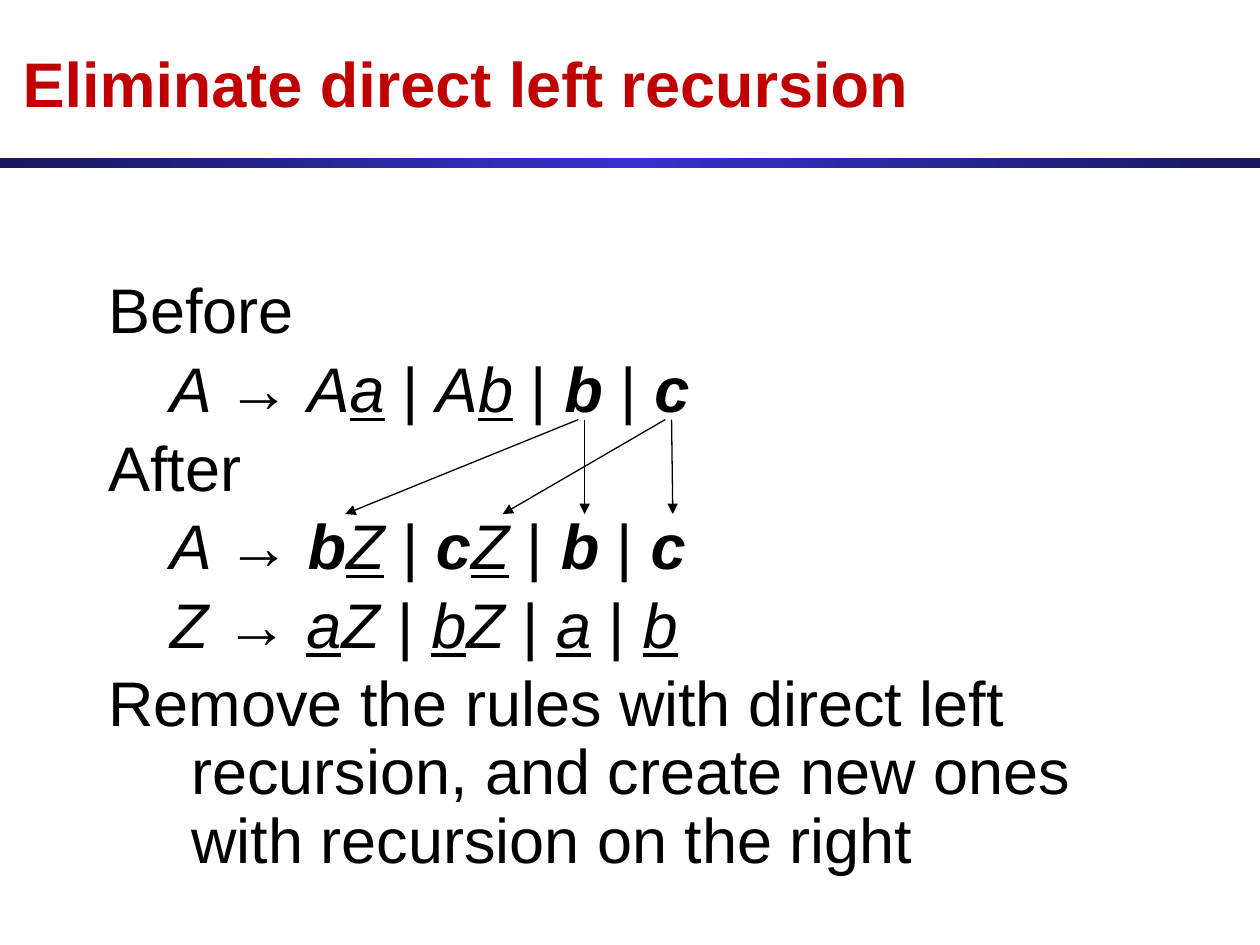
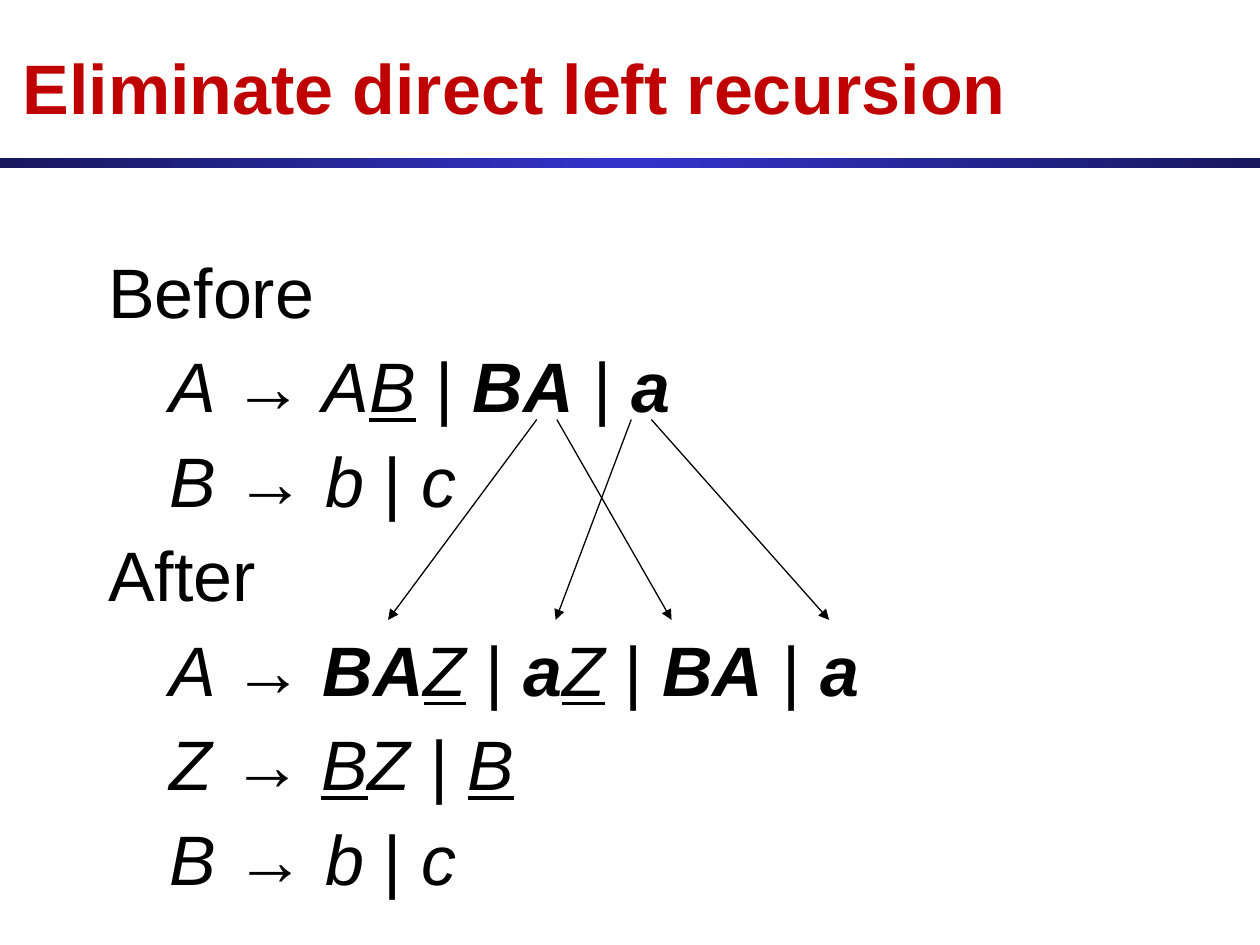
from dataclasses import dataclass

from lxml import etree
from pptx import Presentation
from pptx.dml.color import RGBColor
from pptx.enum.dml import MSO_LINE
from pptx.enum.shapes import MSO_CONNECTOR, MSO_SHAPE
from pptx.enum.text import MSO_ANCHOR, PP_ALIGN
from pptx.oxml.ns import qn
from pptx.util import Emu, Pt

RECT = MSO_SHAPE.RECTANGLE
STRAIGHT = MSO_CONNECTOR.STRAIGHT
SOLID = MSO_LINE.SOLID
TOP, LEFT = MSO_ANCHOR.TOP, PP_ALIGN.LEFT
TITLE_ONLY = 5
SCALE = 9144  # EMU per px: 100 px to the inch


def px(n):
    return Emu(n * SCALE)


@dataclass(frozen=True)
class Theme:
    font: str = "Arial"
    title: str = "C00000"
    ink: str = "000000"
    band_edge: str = "18185E"
    band_middle: str = "3333CC"
    space_before: int = 6
    arrow_width: float = 0.75
    indents: tuple = ((67, -66), (108, -58))  # px: margin, first line


class Deck:
    """Holds the theme and the slide being built."""

    def __init__(self, theme):
        self.theme = theme
        self.prs = Presentation()
        self.prs.slide_width, self.prs.slide_height = px(1000), px(750)
        self.s = None

    def slide(self, title, width, size):
        self.s = self.prs.slides.add_slide(self.prs.slide_layouts[TITLE_ONLY])
        self.band()
        sp = self.s.shapes.title
        self.place(sp, 8, 30, width, 57)
        tf = self.frame(sp)
        tf.word_wrap = False
        p = tf.paragraphs[0]
        p.alignment = LEFT
        self.run(p, title, size, self.theme.title, bold=True)

    def place(self, sp, x, y, w, h):
        sp.left, sp.top, sp.width, sp.height = map(px, (x, y, w, h))

    def frame(self, sp):
        tf = sp.text_frame
        tf.word_wrap = True
        tf.vertical_anchor = TOP
        return tf

    def band(self):
        sp = self.s.shapes.add_shape(RECT, *map(px, (0, 125, 1000, 8)))
        sp.shadow.inherit = False
        sp.line.fill.background()
        sp.fill.gradient()
        sp.fill.gradient_angle = 0
        stops = sp.fill._fill._gradFill.find(qn("a:gsLst"))
        for stop in list(stops):
            stops.remove(stop)
        edge, middle = self.theme.band_edge, self.theme.band_middle
        for pos, color in ((0, edge), (50, middle), (100, edge)):
            stop = etree.SubElement(stops, qn("a:gs"), pos=str(pos * 1000))
            etree.SubElement(stop, qn("a:srgbClr"), val=color)

    def run(self, p, text, size, color, bold=False, italic=False, underline=False):
        r = p.add_run()
        r.text = text
        f = r.font
        f.name, f.size = self.theme.font, Pt(size)
        f.bold, f.italic, f.underline = bold, italic, underline
        f.color.rgb = RGBColor.from_string(color)

    def body(self, y, size, lines, spacing=1.0):
        """Each line is (level, runs); each run is (text, style letters)."""
        sp = self.s.shapes.add_textbox(*map(px, (75, y, 850, 450)))
        tf = self.frame(sp)
        for i, (level, runs) in enumerate(lines):
            p = tf.paragraphs[0] if i == 0 else tf.add_paragraph()
            p.level, p.line_spacing = level, spacing
            p.space_before = Pt(self.theme.space_before)
            margin, first = self.theme.indents[level]
            pPr = p._p.get_or_add_pPr()
            pPr.set("marL", str(px(margin)))
            pPr.set("indent", str(px(first)))
            for text, style in runs:
                self.run(p, text, size, self.theme.ink,
                         "b" in style, "i" in style, "u" in style)

    def arrow(self, x1, y1, x2, y2):
        c = self.s.shapes.add_connector(STRAIGHT, *map(px, (x1, y1, x2, y2)))
        c.line.color.rgb = RGBColor.from_string(self.theme.ink)
        c.line.width = Pt(self.theme.arrow_width)
        c.line.dash_style = SOLID
        etree.SubElement(c.line._get_or_add_ln(), qn("a:tailEnd"), type="triangle")
        etree.SubElement(c._element.spPr, qn("a:effectLst"))


def heading(text):
    return 0, [(text, "")]


def rule(left, *choices):
    """A grammar rule: choices are lists of (symbols, style), joined by bars."""
    runs = [(left + " ", "i"), ("→ ", "")]
    for i, choice in enumerate(choices):
        if i:
            runs += [(" ", "i"), ("| ", "")]
        runs += choice
    return 1, runs


def kept(text):
    return [(text, "bi")]


def plain(text):
    return [(text, "i")]


def marked(text):
    return [(text, "iu")]


def main():
    deck = Deck(Theme())
    title = "Eliminate direct left recursion"

    # Two recursive choices
    deck.slide(title, 742, 36)
    deck.body(217, 36, [
        heading("Before"),
        rule("A", plain("A") + marked("a"), plain("A") + marked("b"),
             kept("b"), kept("c")),
        heading("After"),
        rule("A", kept("b") + marked("Z"), kept("c") + marked("Z"),
             kept("b"), kept("c")),
        rule("Z", marked("a") + plain("Z"), marked("b") + plain("Z"),
             marked("a"), marked("b")),
        heading("Remove the rules with direct left recursion, and create "
                "new ones with recursion on the right"),
    ], spacing=0.9)
    for start, end in ((459, 274), (528, 399), (464, 464), (533, 534)):
        deck.arrow(start, 333, end, 408)

    # One recursive choice with a second rule
    deck.slide(title, 858, 40)
    choices = rule("B", plain("b"), plain("c"))
    deck.body(192, 40, [
        heading("Before"),
        rule("A", plain("A") + marked("B"), kept("BA"), kept("a")),
        choices,
        heading("After"),
        rule("A", kept("BA") + marked("Z"), kept("a") + marked("Z"),
             kept("BA"), kept("a")),
        rule("Z", marked("B") + plain("Z"), marked("B")),
        choices,
    ])
    for start, end in ((426, 308), (501, 441), (442, 533), (517, 658)):
        deck.arrow(start, 333, end, 492)

    deck.prs.save("out.pptx")


if __name__ == "__main__":
    main()
